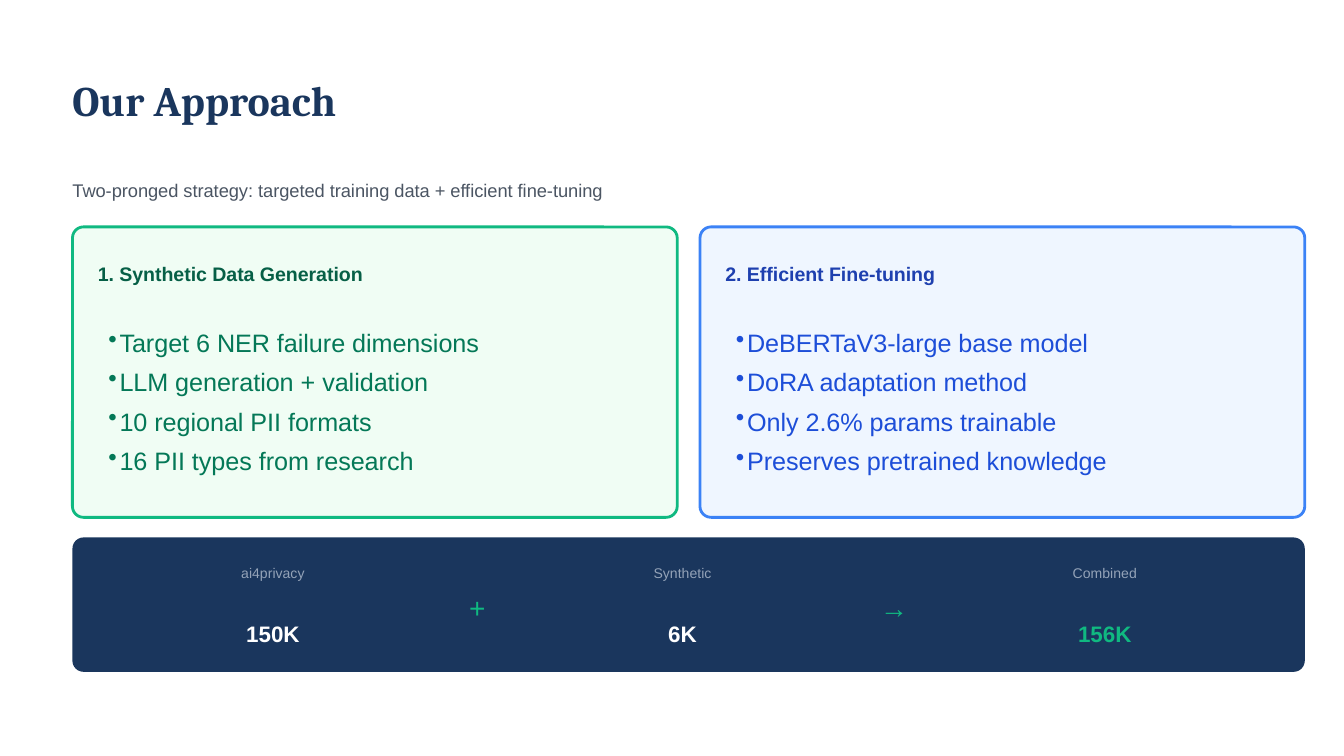
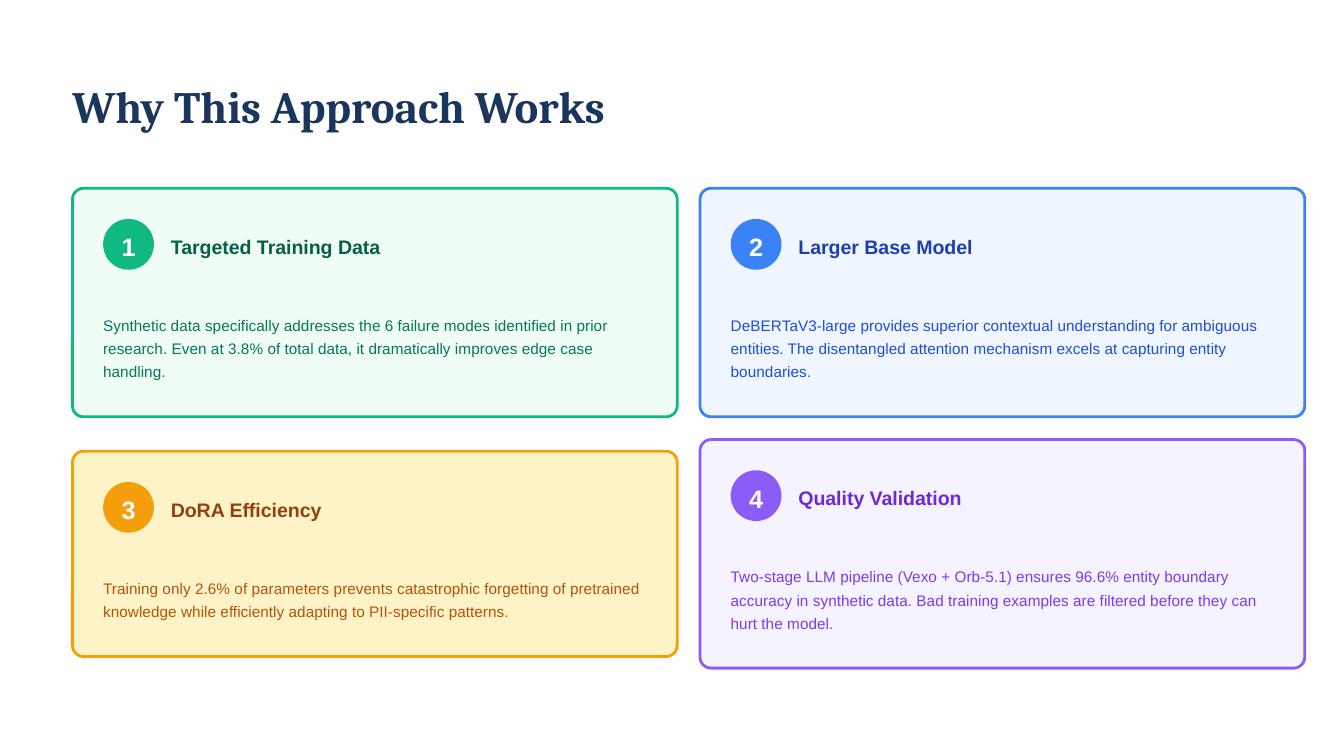
from collections import namedtuple

from lxml.etree import SubElement as Sub
from pptx import Presentation as Deck
from pptx.dml.color import RGBColor as RGB
from pptx.enum.shapes import MSO_SHAPE as Kind
from pptx.enum.text import MSO_ANCHOR as Anchor, MSO_AUTO_SIZE as Fit, PP_ALIGN as Align
from pptx.oxml.ns import qn
from pptx.util import Cm, Pt

Tone = namedtuple("Tone", "fill line head body")

WHITE = RGB(0xFF, 0xFF, 0xFF)
NAVY = RGB(0x1A, 0x36, 0x5D)
GRAY = RGB(0x4B, 0x55, 0x63)
SLATE = RGB(0x94, 0xA3, 0xB8)
MINT = RGB(0x10, 0xB9, 0x81)
GREEN = Tone(RGB(0xF0, 0xFD, 0xF4), MINT, RGB(0x06, 0x5F, 0x46), RGB(0x04, 0x78, 0x57))
BLUE = Tone(RGB(0xEF, 0xF6, 0xFF), RGB(0x3B, 0x82, 0xF6),
            RGB(0x1E, 0x40, 0xAF), RGB(0x1D, 0x4E, 0xD8))
AMBER = Tone(RGB(0xFE, 0xF3, 0xC7), RGB(0xF5, 0x9E, 0x0B),
             RGB(0x92, 0x40, 0x0E), RGB(0xB4, 0x53, 0x09))
VIOLET = Tone(RGB(0xF5, 0xF3, 0xFF), RGB(0x8B, 0x5C, 0xF6),
              RGB(0x6D, 0x28, 0xD9), RGB(0x7C, 0x3A, 0xED))

LEFT, STEP, WIDE = 1.37, 11.86, 11.43
ROUND = 0.21


def apply(item, values):
    """Set each named value on the item."""
    for name, value in values.items():
        setattr(item, name, value)


class Board:
    """Hold the deck style and the current slide."""

    fonts = {
        "lead": {"name": "Arial", "size": Pt(9.75)},
        "head": {"name": "Arial", "size": Pt(10.5), "bold": True},
        "list": {"name": "Arial", "size": Pt(13.5)},
        "badge": {"name": "Arial", "size": Pt(13.5), "bold": True},
        "body": {"name": "Arial", "size": Pt(8.25)},
        "label": {"name": "Arial", "size": Pt(7.5)},
        "value": {"name": "Arial", "size": Pt(12), "bold": True},
        "sign": {"name": "Arial", "size": Pt(15)},
    }
    leads = {"lead": 13.65, "head": 14.7, "list": 21, "badge": 18.9,
             "body": 12.38, "label": 10.5, "value": 16.8, "sign": 21}
    frame = {"margin_left": 0, "margin_top": 0, "margin_right": 0, "margin_bottom": 0,
             "auto_size": Fit.NONE, "vertical_anchor": Anchor.TOP, "word_wrap": True}

    def __init__(self):
        """Start an empty deck."""
        self.deck = Deck()
        apply(self.deck, {"slide_width": Cm(25.4), "slide_height": Cm(14.29)})

    def start(self, text, top, size):
        """Add a slide and format its title."""
        self.slide = self.deck.slides.add_slide(self.deck.slide_layouts[5])
        title = self.slide.shapes.title
        apply(title, {"left": Cm(LEFT), "top": Cm(top), "width": Cm(12.17), "height": Cm(0.84)})
        apply(title.text_frame, self.frame)
        title.text_frame.text = text
        para = title.text_frame.paragraphs[0]
        apply(para, {"alignment": Align.LEFT, "line_spacing": Pt(size)})
        apply(para.font, {"name": "Cambria", "size": Pt(size), "bold": True})
        para.font.color.rgb = NAVY

    def style(self, para, role, tint, align):
        """Format one paragraph by its role."""
        apply(para, {"alignment": align, "line_spacing": Pt(self.leads[role])})
        apply(para.font, self.fonts[role])
        para.font.color.rgb = tint

    def text(self, text, role, tint, x, y, w, h, align=Align.LEFT, wrap=True):
        """Add a plain text box."""
        frame = self.slide.shapes.add_textbox(Cm(x), Cm(y), Cm(w), Cm(h)).text_frame
        apply(frame, {**self.frame, "word_wrap": wrap})
        frame.text = text
        self.style(frame.paragraphs[0], role, tint, align)

    def list(self, lines, tint, x, y, w, h):
        """Add a bullet list."""
        frame = self.slide.shapes.add_textbox(Cm(x), Cm(y), Cm(w), Cm(h)).text_frame
        apply(frame, {**self.frame, "margin_left": Cm(0.2)})
        frame.text = "\n".join(lines)
        for para in frame.paragraphs:
            props = para._p.get_or_add_pPr()
            props.set("marL", str(Cm(0.21)))
            props.set("indent", str(-Cm(0.21)))
            Sub(props, qn("a:buChar")).set("char", "•")
            self.style(para, "list", tint, Align.LEFT)

    def shape(self, kind, fill, x, y, w, h, line=None):
        """Add a filled shape with an optional outline."""
        shape = self.slide.shapes.add_shape(kind, Cm(x), Cm(y), Cm(w), Cm(h))
        shape.shadow.inherit = False
        shape.fill.solid()
        shape.fill.fore_color.rgb = fill
        if line is None:
            shape.line.fill.background()
        else:
            shape.line.color.rgb = line
            shape.line.width = Pt(1.5)
        return shape

    def card(self, fill, x, y, w, h, line=None):
        """Add a card with the shared corner radius."""
        self.shape(Kind.ROUNDED_RECTANGLE, fill, x, y, w, h, line).adjustments[0] = ROUND / h

    def badge(self, text, tint, x, y):
        """Add a numbered disc."""
        frame = self.shape(Kind.OVAL, tint, x, y, 0.96, 0.96).text_frame
        apply(frame, {**self.frame, "vertical_anchor": Anchor.MIDDLE, "word_wrap": False})
        frame.text = text
        self.style(frame.paragraphs[0], "badge", WHITE, Align.CENTER)

    def mid(self, text, role, tint, x, y, w, h):
        """Add a short text centred on x."""
        self.text(text, role, tint, x - w / 2, y, w, h, Align.CENTER, False)


def plan(board):
    """Build the slide on the approach."""
    board.start("Our Approach", 1.57, 22.5)
    board.text("Two-pronged strategy: targeted training data + efficient fine-tuning",
               "lead", GRAY, LEFT, 3.33, 23.29, 0.48)
    prongs = [
        ("1. Synthetic Data Generation", GREEN,
         ["Target 6 NER failure dimensions", "LLM generation + validation",
          "10 regional PII formats", "16 PII types from research"]),
        ("2. Efficient Fine-tuning", BLUE,
         ["DeBERTaV3-large base model", "DoRA adaptation method",
          "Only 2.6% params trainable", "Preserves pretrained knowledge"]),
    ]
    top = 4.29
    for col, (head, tone, lines) in enumerate(prongs):
        x = LEFT + col * STEP
        board.card(tone.fill, x, top, WIDE, 5.49, tone.line)
        board.text(head, "head", tone.head, x + 0.48, top + 0.58, 10.69, 0.51)
        board.list(lines, tone.body, x + 0.48, top + 1.73, 10.47, 3.28)

    board.card(NAVY, LEFT, 10.16, STEP + WIDE, 2.54)
    sums = [("ai4privacy", "150K", WHITE, 5.16, 1.04),
            ("Synthetic", "6K", WHITE, 12.9, 0.56),
            ("Combined", "156K", MINT, 20.88, 1.04)]
    for label, value, tint, x, w in sums:
        board.mid(label, "label", SLATE, x, 10.62, 1.2, 0.38)
        board.mid(value, "value", tint, x, 11.63, w, 0.59)
    for sign, x, w in [("+", 9.02, 0.3), ("→", 16.9, 0.53)]:
        board.mid(sign, "sign", MINT, x, 11.05, w, 0.74)


def proof(board):
    """Build the slide on why it works."""
    board.start("Why This Approach Works", 1.65, 24)
    cards = [
        ("Targeted Training Data", GREEN, 3,
         "Synthetic data specifically addresses the 6 failure modes identified in prior "
         "research. Even at 3.8% of total data, it dramatically improves edge case handling."),
        ("Larger Base Model", BLUE, 3,
         "DeBERTaV3-large provides superior contextual understanding for ambiguous entities. "
         "The disentangled attention mechanism excels at capturing entity boundaries."),
        ("DoRA Efficiency", AMBER, 2,
         "Training only 2.6% of parameters prevents catastrophic forgetting of pretrained "
         "knowledge while efficiently adapting to PII-specific patterns."),
        ("Quality Validation", VIOLET, 3,
         "Two-stage LLM pipeline (Vexo + Orb-5.1) ensures 96.6% entity boundary accuracy in "
         "synthetic data. Bad training examples are filtered before they can hurt the model."),
    ]
    for num, (head, tone, rows, body) in enumerate(cards):
        row, col = divmod(num, 2)
        high = 3 + 0.44 * rows
        x = LEFT + col * STEP
        y = 5.72 + row * 4.75 - high / 2
        board.card(tone.fill, x, y, WIDE, high, tone.line)
        board.badge(str(num + 1), tone.line, x + 0.58, y + 0.58)
        board.text(head, "head", tone.head, x + 1.86, y + 0.81, 4.06, 0.51)
        board.text(body, "body", tone.body, x + 0.58, y + 2.33, 10.47, 0.44 * rows)


def main():
    """Build and save the deck."""
    board = Board()
    plan(board)
    proof(board)
    board.deck.save("out.pptx")


if __name__ == "__main__":
    main()
